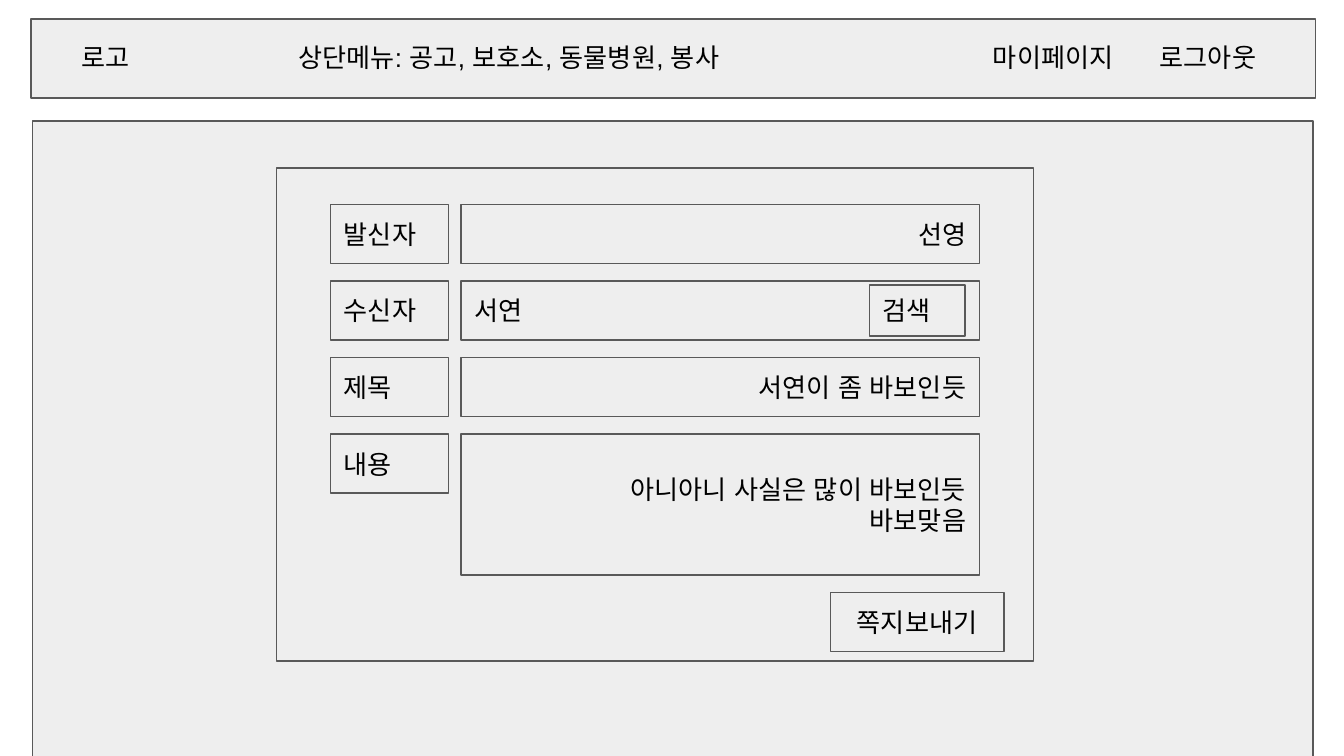
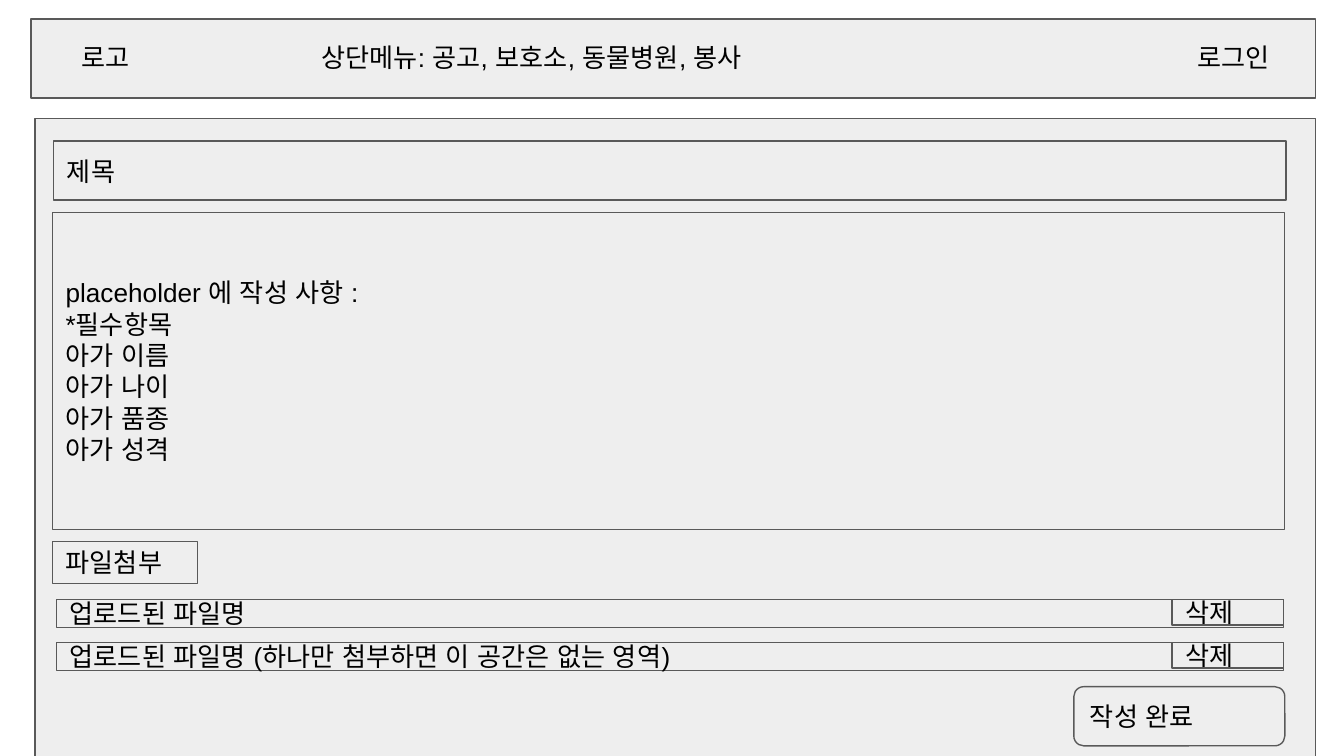
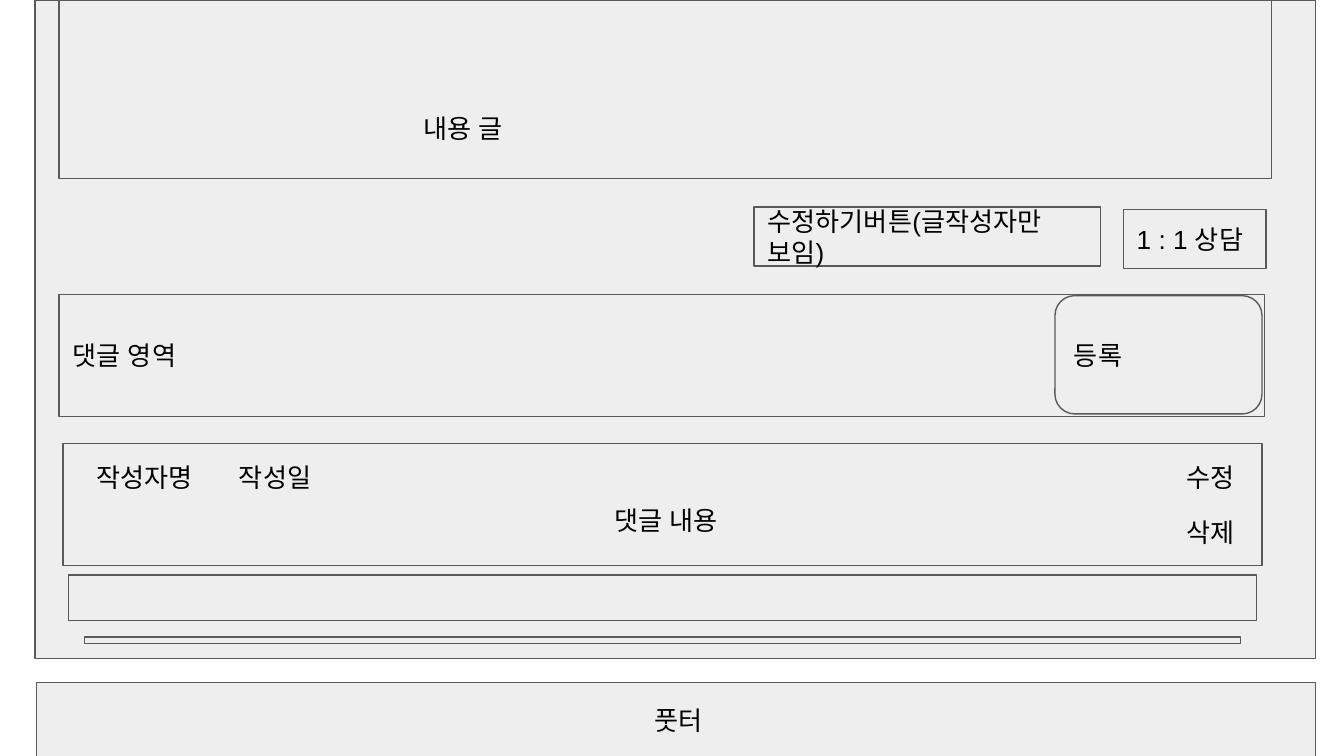
from dataclasses import dataclass

from lxml.etree import SubElement
from pptx import Presentation
from pptx.dml.color import RGBColor as Rgb
from pptx.enum.shapes import MSO_SHAPE as Shape
from pptx.enum.text import MSO_ANCHOR as Anchor, MSO_AUTO_SIZE as AutoSize, PP_ALIGN as Align
from pptx.oxml.ns import qn
from pptx.util import Pt

PX = 9144
SLIDE_W = 1000
COLORS = {"page": "FFFFFF", "panel": "EEEEEE", "line": "595959", "text": "000000"}
FONT = "Arial"
FONT_SIZE = 14
LINE_WIDTH = 0.75
INSET = 10
LINE_HEIGHT = 23
FIRST_INDENT = 50
ROW_H = 44
MENU = "상단메뉴: 공고, 보호소, 동물병원, 봉사"


@dataclass
class Box:
    x: int
    y: int
    w: int
    h: int
    text: str = ""
    align: Align = Align.LEFT
    rounded: bool = False
    indent: int = 0
    top: int = INSET


@dataclass
class Label:
    x: int
    y: int
    w: int
    text: str


def px(value: int) -> int:
    return value * PX


def color(name: str) -> Rgb:
    return Rgb.from_string(COLORS[name])


def add_run(p, text: str) -> None:
    r = p.add_run()
    r.text = text
    r.font.size = Pt(FONT_SIZE)
    r.font.color.rgb = color("text")
    r.font.name = FONT
    rPr = r._r.get_or_add_rPr()
    for tag in ("a:ea", "a:cs"):
        SubElement(rPr, qn(tag)).set("typeface", FONT)


def write(tf, text: str, align: Align = Align.LEFT, indent: int = 0, top: int = INSET) -> None:
    tf.word_wrap = True
    tf.margin_left = tf.margin_right = tf.margin_bottom = px(INSET)
    tf.margin_top = px(top)
    for i, line in enumerate(text.split("\n")):
        p = tf.add_paragraph() if i else tf.paragraphs[0]
        p.alignment = align
        if indent:
            pPr = p._p.get_or_add_pPr()
            pPr.set("marL", str(px(indent)))
            pPr.set("indent", str(px(FIRST_INDENT)))
        add_run(p, line)


def draw_box(s, box: Box) -> None:
    kind = Shape.ROUNDED_RECTANGLE if box.rounded else Shape.RECTANGLE
    sp = s.shapes.add_shape(kind, px(box.x), px(box.y), px(box.w), px(box.h))
    sp.shadow.inherit = False
    sp.fill.solid()
    sp.fill.fore_color.rgb = color("panel")
    sp.line.color.rgb = color("line")
    sp.line.width = Pt(LINE_WIDTH)
    if box.text:
        sp.text_frame.vertical_anchor = Anchor.MIDDLE
        write(sp.text_frame, box.text, box.align, box.indent, box.top)


def draw_label(s, label: Label) -> None:
    sp = s.shapes.add_textbox(px(label.x), px(label.y), px(label.w), px(ROW_H))
    tf = sp.text_frame
    tf.vertical_anchor = Anchor.TOP
    write(tf, label.text)
    tf.auto_size = AutoSize.SHAPE_TO_FIT_TEXT


def draw(s, items: list[Box | Label]) -> None:
    for item in items:
        if isinstance(item, Box):
            draw_box(s, item)
        else:
            draw_label(s, item)


def add_slide(prs):
    s = prs.slides.add_slide(prs.slide_layouts[6])
    s.background.fill.solid()
    s.background.fill.fore_color.rgb = color("page")
    return s


def draw_header(s, menu_x: int, links: list[tuple[int, int, str]]) -> None:
    y = 21
    draw(s, [Box(23, 14, 956, 59), Label(51, y, 83, "로고"), Label(menu_x, y, 591, MENU)])
    draw(s, [Label(x, y, w, text) for x, w, text in links])


def build_message(prs) -> None:
    s = add_slide(prs)
    draw_header(s, 212, [(729, 123, "마이페이지"), (853, 111, "로그아웃")])
    draw(s, [
        Box(24, 90, 953, 473),
        Box(206, 125, 563, 367),
        Box(618, 441, 129, ROW_H, "쪽지보내기", Align.CENTER),
    ])
    fields = [
        ("발신자", "선영", Align.RIGHT, ROW_H),
        ("수신자", "서연", Align.LEFT, ROW_H),
        ("제목", "서연이 좀 바보인듯", Align.RIGHT, ROW_H),
        ("내용", "아니아니 사실은 많이 바보인듯\n바보맞음", Align.RIGHT, 105),
    ]
    for i, (name, value, align, h) in enumerate(fields):
        y = 152 + 57 * i
        draw(s, [Box(343, y, 386, h, value, align), Box(246, y, 88, ROW_H, name)])
    draw_box(s, Box(647, 212, 71, 38, "검색"))


def build_post_form(prs) -> None:
    s = add_slide(prs)
    draw_header(s, 229, [(881, 83, "로그인")])
    guide = ["placeholder 에 작성 사항 :", "*필수항목"]
    guide += [f"아가 {item}" for item in ("이름", "나이", "품종", "성격")]
    draw(s, [
        Box(26, 88, 953, 511),
        Box(40, 105, 917, ROW_H, "제목"),
        Box(39, 158, 917, 236, "\n".join(guide)),
        Box(39, 403, 108, 31, "파일첨부"),
    ])
    files = ["업로드된 파일명", "업로드된 파일명 (하나만 첨부하면 이 공간은 없는 영역)"]
    for i, name in enumerate(files):
        y = 446 + 32 * i
        draw(s, [Box(42, y, 913, 21, name), Box(872, y, 83, 19, "삭제")])
    draw_box(s, Box(799, 511, 157, ROW_H, "작성 완료", rounded=True))


def build_post_view(prs) -> None:
    s = add_slide(prs)
    draw(s, [
        Box(26, 0, 953, 490),
        Box(44, 0, 902, 133),
        Label(305, 74, 498, "내용 글"),
        Box(44, 219, 897, 91, "댓글 영역"),
        Box(785, 220, 154, 88, "등록", rounded=True),
        Box(47, 330, 892, 91, "댓글 내용", indent=350, top=INSET + LINE_HEIGHT),
        Label(873, 333, 60, "수정"),
        Label(873, 374, 60, "삭제"),
        Label(168, 333, 106, "작성일"),
        Label(62, 333, 106, "작성자명"),
        Box(51, 428, 884, 34),
        Box(63, 474, 860, 5),
        Box(836, 156, 106, ROW_H, "1 : 1 상담"),
        Box(27, 508, 952, 55, "풋터", indent=400),
        Box(561, 154, 258, ROW_H, "수정하기버튼(글작성자만 보임)"),
    ])


def main() -> None:
    prs = Presentation()
    prs.slide_width = px(SLIDE_W)
    prs.slide_height = px(SLIDE_W) * 9 // 16
    build_message(prs)
    build_post_form(prs)
    build_post_view(prs)
    prs.save("out.pptx")


if __name__ == "__main__":
    main()
